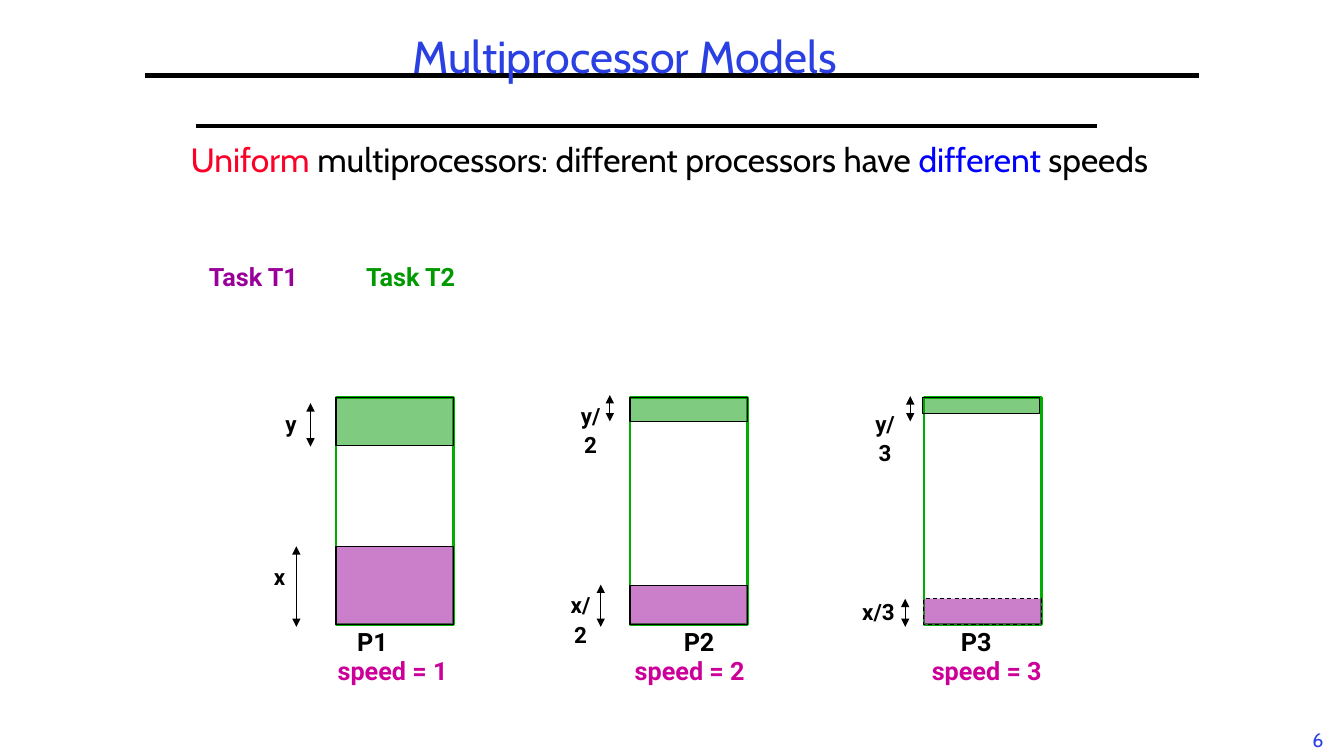
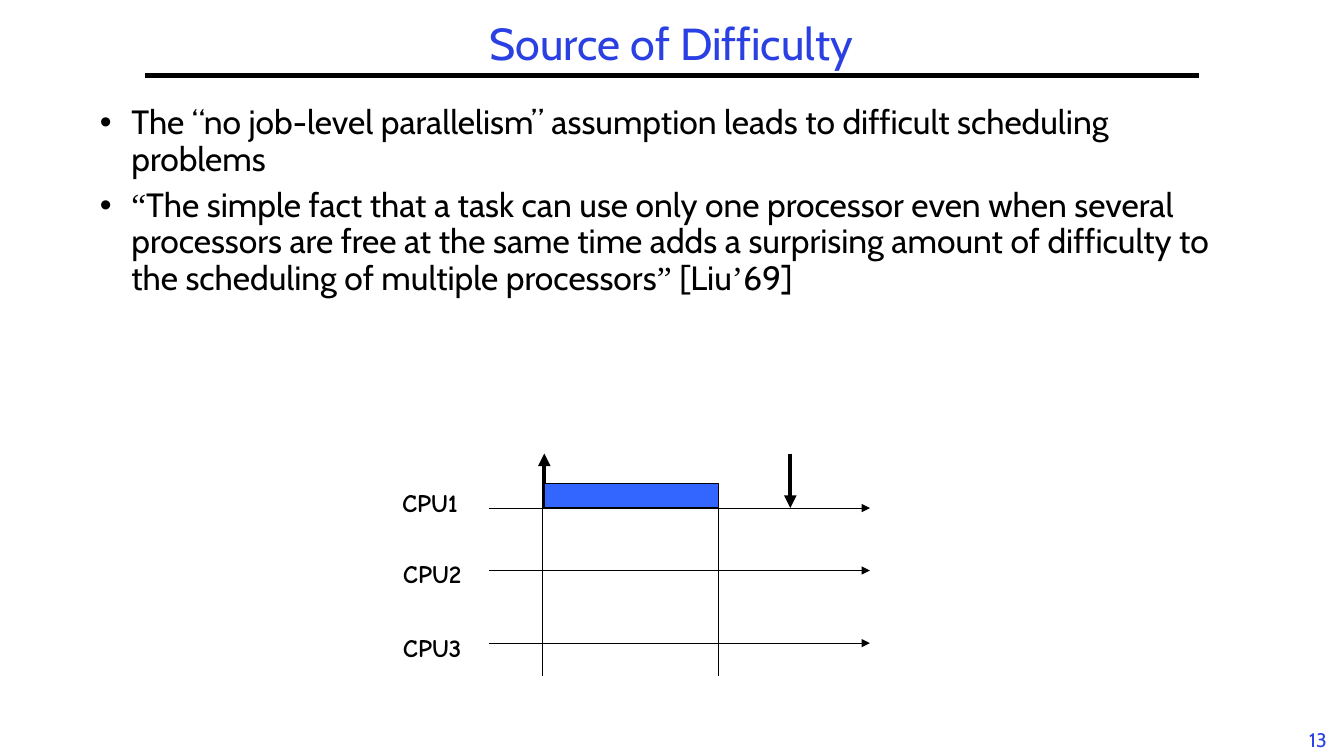
from dataclasses import dataclass

from lxml import etree
from pptx import Presentation
from pptx.dml.color import RGBColor
from pptx.enum import dml, shapes as kinds, text as txt
from pptx.oxml import ns
from pptx.util import Pt

COLORS = {
    "title": "2A40E2", "black": "000000", "red": "FC0128", "blue": "0000FF",
    "outline": "00AE00", "purple": "990099", "green": "009900",
    "speed": "CC0099", "job": "3366FF",
}
HEADING, LABEL, HAND, QUOTE = "Cabin", "Roboto", "Comic Neue", "Times New Roman"
CENTER, LEFT = txt.PP_ALIGN.CENTER, txt.PP_ALIGN.LEFT


@dataclass(frozen=True)
class Box:
    left: float
    top: float
    width: float
    height: float

    def lengths(self) -> list:
        return [Pt(v) for v in (self.left, self.top, self.width, self.height)]


@dataclass(frozen=True)
class Share:
    """A task's time on a processor: measuring arrow and size label."""
    arrow_x: float
    arrow_top: float
    arrow_bottom: float
    label: str
    label_left: float
    label_top: float
    label_width: float


@dataclass(frozen=True)
class Processor:
    speed: int
    name_left: float
    t1: Share
    t2: Share
    t2_shift: float = 0
    dashed: bool = False


@dataclass(frozen=True)
class Cpu:
    name: str
    left: float
    top: float
    axis_y: float


PROCESSORS = [
    Processor(1, 247.7, Share(211.7, 390.2, 447.8, "x", 188.6, 396.7, 22.3),
              Share(221.8, 288, 319, "y", 196.6, 287.3, 22.3)),
    Processor(2, 481, Share(429.1, 417.6, 447.8, "x/2", 396.7, 416.9, 36),
              Share(435.6, 282.2, 301, "y/2", 403.9, 281.5, 36)),
    Processor(3, 679, Share(646.6, 427.7, 447.8, "x/3", 596.2, 421.9, 62.6),
              Share(650.2, 283, 301, "y/3", 614.2, 287.3, 36), -1.2, True),
]
CPUS = [
    Cpu("CPU1", 280.1, 344.9, 362.9),
    Cpu("CPU2", 280.8, 395.3, 407.5),
    Cpu("CPU3", 280.8, 447.8, 459.4),
]


def rgb(name: str) -> RGBColor:
    return RGBColor.from_string(COLORS[name])


def set_font(font, name: str, size: float, color: str, bold: bool = False) -> None:
    font.name, font.size, font.bold = name, Pt(size), bold
    font.color.rgb = rgb(color)


def add_line(slide, start: tuple, end: tuple, width: float = 0.75,
             head: bool = False, tail: bool = False):
    line = slide.shapes.add_connector(
        kinds.MSO_CONNECTOR.STRAIGHT, *[Pt(v) for v in (*start, *end)])
    line.line.color.rgb = rgb("black")
    line.line.width = Pt(width)
    properties = line.element.spPr
    outline = properties.find(ns.qn("a:ln"))
    for tag, wanted in (("a:headEnd", head), ("a:tailEnd", tail)):
        if wanted:
            etree.SubElement(outline, ns.qn(tag), type="triangle")
    etree.SubElement(properties, ns.qn("a:effectLst"))
    return line


def add_rect(slide, box: Box, fill: str = "", outline: str = "black",
             width: float = 0.75, opacity: int = 100, dashed: bool = False) -> None:
    rect = slide.shapes.add_shape(kinds.MSO_SHAPE.RECTANGLE, *box.lengths())
    rect.shadow.inherit = False
    rect.line.color.rgb = rgb(outline)
    rect.line.width = Pt(width)
    if dashed:
        rect.line.dash_style = dml.MSO_LINE.DASH
    if not fill:
        rect.fill.background()
        return
    rect.fill.solid()
    rect.fill.fore_color.rgb = rgb(fill)
    if opacity < 100:
        color = rect.element.spPr.find(f"{ns.qn('a:solidFill')}/{ns.qn('a:srgbClr')}")
        etree.SubElement(color, ns.qn("a:alpha"), val=str(opacity * 1000))


def add_label(slide, words: str, box: Box, color: str = "black", size: float = 18,
              font: str = LABEL, bold: bool = True, align=CENTER,
              spacing: float = 1.1, wrap: bool = False) -> None:
    frame = slide.shapes.add_textbox(*box.lengths()).text_frame
    frame.word_wrap = wrap
    paragraph = frame.paragraphs[0]
    paragraph.text = words
    paragraph.alignment, paragraph.line_spacing = align, spacing
    set_font(paragraph.font, font, size, color, bold)


def place(placeholder, box: Box, anchor):
    """Move a placeholder and return its text frame."""
    (placeholder.left, placeholder.top,
     placeholder.width, placeholder.height) = box.lengths()
    frame = placeholder.text_frame
    frame.word_wrap = True
    frame.auto_size = txt.MSO_AUTO_SIZE.NONE
    frame.vertical_anchor = anchor
    return frame


def set_bullet(paragraph, char: str = "", indent: float = 0) -> None:
    properties = paragraph._p.get_or_add_pPr()
    properties.set("marL", str(Pt(indent)))
    properties.set("indent", str(-Pt(indent)))
    if char:
        etree.SubElement(properties, ns.qn("a:buChar"), char=char)
    else:
        etree.SubElement(properties, ns.qn("a:buNone"))


def start_slide(deck, title: str, title_box: Box, number: int):
    """Add a slide with the shared rule, title and page number."""
    slide = deck.slides.add_slide(deck.slide_layouts[1])
    rule = add_line(slide, (103.7, 54), (856.1, 54), 3)
    slide.shapes.element.insert(2, rule.element)
    heading = place(slide.shapes.title, title_box, txt.MSO_ANCHOR.MIDDLE).paragraphs[0]
    heading.text = title
    heading.alignment, heading.line_spacing = CENTER, 0.9
    set_font(heading.font, HEADING, 32, "title")
    add_label(slide, str(number), Box(925.9, 516.2, 31, 23.8), "title", 14,
              HEADING, bold=False, spacing=1)
    return slide


def draw_processor(slide, index: int, processor: Processor) -> None:
    left, top, width, height = 240 + 210 * index, 283.7, 84, 162.7
    add_rect(slide, Box(left, top, width, height), outline="outline", width=2)
    add_label(slide, f"P{index + 1}", Box(processor.name_left, 441.4, 36.7, 28.8))
    add_label(slide, f"speed = {processor.speed}",
              Box(233.3 + 212.2 * index, 462.2, 94.3, 28.8), "speed")

    t1_height, t2_height = 56.2 / processor.speed, 34.6 / processor.speed
    add_rect(slide, Box(left, top + height - t1_height, width, t1_height),
             "purple", opacity=50, dashed=processor.dashed)
    add_rect(slide, Box(left + processor.t2_shift, top, width, t2_height),
             "green", opacity=50)
    for share in (processor.t1, processor.t2):
        add_line(slide, (share.arrow_x, share.arrow_top),
                 (share.arrow_x, share.arrow_bottom), head=True, tail=True)
        add_label(slide, share.label,
                  Box(share.label_left, share.label_top, share.label_width, 26.6),
                  size=16, wrap=True)


def build_models(deck) -> None:
    slide = start_slide(deck, "Multiprocessor Models", Box(138.2, 12.2, 616.3, 59.8), 6)
    body = place(slide.placeholders[1], Box(128.9, 88.6, 711.4, 84.2), txt.MSO_ANCHOR.TOP)
    statement = body.paragraphs[0]
    set_bullet(statement)
    statement.line_spacing, statement.space_before = 1.25, Pt(0)
    statement.font.name, statement.font.size = HEADING, Pt(24)
    for words, color in (
            ("Uniform", "red"),
            (" multiprocessors: different processors have ", "black"),
            ("different", "blue"),
            (" speeds", "black")):
        run = statement.add_run()
        run.text = words
        run.font.color.rgb = rgb(color)

    add_line(slide, (139.7, 90), (783.4, 90), 2.25)
    for task, left, color in (("Task T1", 141.1, "purple"), ("Task T2", 253.4, "green")):
        add_label(slide, task, Box(left, 180.7, 79.9, 28.8), color)
    for index, processor in enumerate(PROCESSORS):
        draw_processor(slide, index, processor)


def build_difficulty(deck) -> None:
    slide = start_slide(deck, "Source of Difficulty", Box(103.7, 12.2, 751.7, 41.8), 13)
    body = place(slide.placeholders[1], Box(64.1, 72, 832.3, 401.8), txt.MSO_ANCHOR.TOP)
    assumption, quotation = body.paragraphs[0], body.add_paragraph()
    for paragraph, gap in ((assumption, 0), (quotation, 7.2)):
        set_bullet(paragraph, "•", 22.5)
        paragraph.line_spacing, paragraph.space_before = 0.9, Pt(gap)
        set_font(paragraph.font, HEADING, 24, "black")
    assumption.add_run().text = ("The “no job-level parallelism” assumption leads to "
                                 "difficult scheduling problems")
    for words, font in (
            ("“", QUOTE),
            ("The simple fact that a task can use only one processor even when "
             "several processors are free at the same time adds a surprising amount "
             "of difficulty to the scheduling of multiple processors", HEADING),
            ("”", QUOTE), (" [Liu", HEADING), ("’", QUOTE), ("69]", HEADING)):
        run = quotation.add_run()
        run.text, run.font.name = words, font

    for cpu in CPUS:
        add_line(slide, (349.2, cpu.axis_y), (621.4, cpu.axis_y), tail=True)
        add_label(slide, cpu.name, Box(cpu.left, cpu.top, 59.8, 28.8),
                  font=HAND, align=LEFT, spacing=1)

    release, deadline, finish = 388.8, 564.5, 513.4
    axis_y, arrow_top = CPUS[0].axis_y, 324
    add_line(slide, (deadline, arrow_top), (deadline, axis_y), 3, tail=True)
    add_line(slide, (release, axis_y), (release, arrow_top), 3, tail=True)
    add_rect(slide, Box(release, axis_y - 17.3, finish - release, 17.3), "job")
    for x in (release - 1.4, finish):
        add_line(slide, (x, 363.6), (x, 483.1))


def main() -> None:
    deck = Presentation()
    deck.slide_width, deck.slide_height = Pt(960), Pt(540)
    build_models(deck)
    build_difficulty(deck)
    deck.save("out.pptx")


if __name__ == "__main__":
    main()
